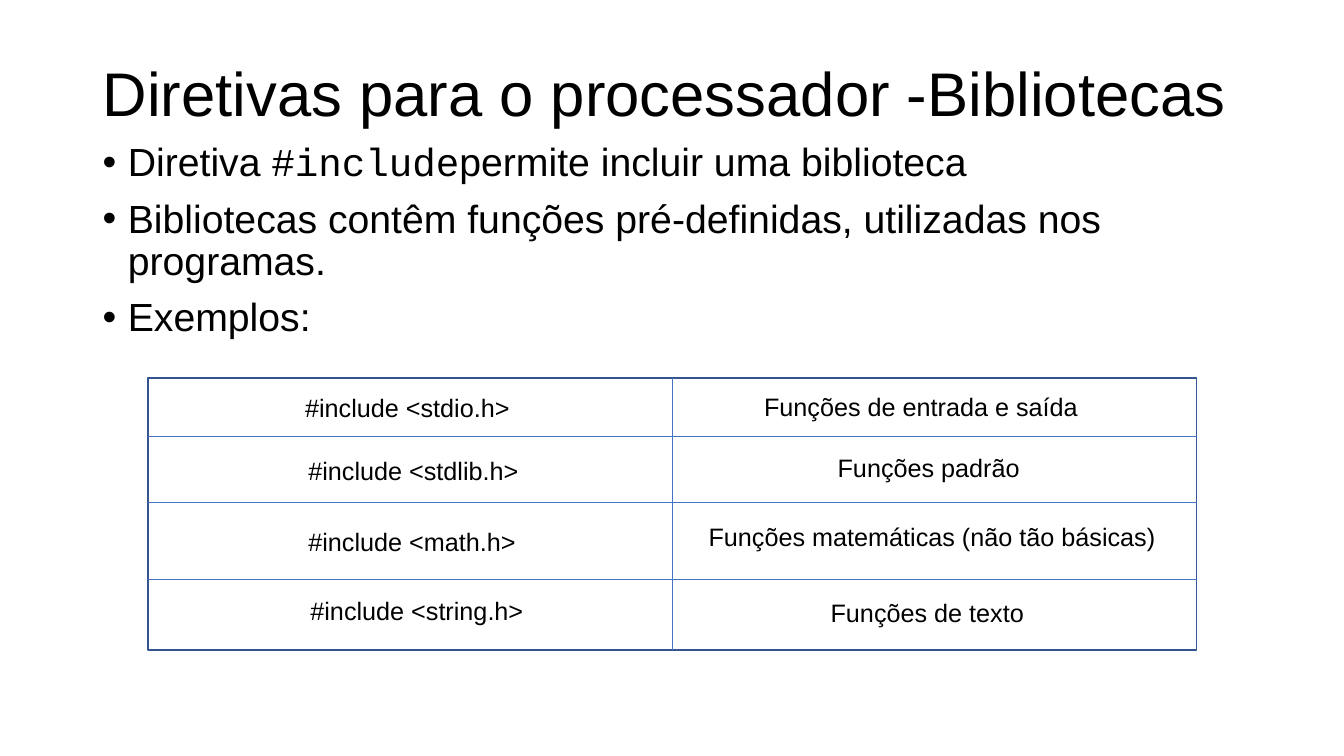
from lxml import etree
from pptx import Presentation
from pptx.dml.color import RGBColor
from pptx.enum.shapes import MSO_CONNECTOR, MSO_SHAPE
from pptx.enum.text import MSO_ANCHOR, PP_ALIGN
from pptx.oxml.ns import qn
from pptx.util import Inches, Pt

LEFT, CENTER = PP_ALIGN.LEFT, PP_ALIGN.CENTER
TOP, MIDDLE = MSO_ANCHOR.TOP, MSO_ANCHOR.MIDDLE
RECTANGLE, STRAIGHT = MSO_SHAPE.RECTANGLE, MSO_CONNECTOR.STRAIGHT

COLORS = {"text": "000000", "frame": "325491", "grid": "4472C4"}
SANS, MONO = "Arial", "Courier New"

TITLE = "Diretivas para o processador -Bibliotecas"
BULLETS = [
    [("Diretiva ", SANS), ("#include", MONO), ("permite incluir uma biblioteca", SANS)],
    [("Bibliotecas contêm funções pré-definidas, utilizadas nos programas.", SANS)],
    [("Exemplos:", SANS)],
]
# Each entry: text, left, top, width, alignment
LIBRARIES = [
    (("#include <stdio.h>", 1.55, 3.84, 4.98, CENTER),
     ("Funções de entrada e saída", 6.67, 3.83, 4.93, CENTER)),
    (("#include <stdlib.h>", 2.96, 4.47, 4.98, LEFT),
     ("Funções padrão", 8.21, 4.44, 4.76, LEFT)),
    (("#include <math.h>", 2.96, 5.17, 2.78, LEFT),
     ("Funções matemáticas (não tão básicas)", 6.93, 5.12, 4.87, LEFT)),
    (("#include <string.h>", 2.98, 5.86, 4.72, LEFT),
     ("Funções de texto", 8.14, 5.88, 3.73, LEFT)),
]
LABEL_HEIGHT = 0.4
GRID_LEFT, GRID_TOP, GRID_WIDTH, GRID_HEIGHT = 1.47, 3.75, 10.4, 2.7
COLUMN_DIVIDER = GRID_LEFT + GRID_WIDTH / 2
ROW_DIVIDERS = [4.33, 4.98, 5.75]


def color(name):
    return RGBColor.from_string(COLORS[name])


def add_text_frame(slide, left, top, width, height, anchor=TOP):
    box = slide.shapes.add_textbox(Inches(left), Inches(top), Inches(width), Inches(height))
    frame = box.text_frame
    frame.word_wrap = True
    frame.vertical_anchor = anchor
    return frame


def set_font(paragraph, size):
    paragraph.font.size = Pt(size)
    paragraph.font.name = SANS
    paragraph.font.color.rgb = color("text")


def add_bullet(paragraph):
    properties = paragraph._p.get_or_add_pPr()
    properties.set("marL", str(Inches(0.25)))
    properties.set("indent", str(-Inches(0.25)))
    etree.SubElement(properties, qn("a:buFont")).set("typeface", SANS)
    etree.SubElement(properties, qn("a:buChar")).set("char", "•")


def add_title(slide):
    title = add_text_frame(slide, 0.92, 0.4, 11.5, 1.12, MIDDLE).paragraphs[0]
    title.text = TITLE
    title.line_spacing = 0.9
    set_font(title, 44)


def add_bullets(slide):
    frame = add_text_frame(slide, 0.92, 1.37, 11.5, 2.2)
    for index, parts in enumerate(BULLETS):
        bullet = frame.add_paragraph() if index else frame.paragraphs[0]
        add_bullet(bullet)
        bullet.line_spacing = 0.9
        bullet.space_before = Pt(10 if index else 0)
        set_font(bullet, 28)
        for text, font_name in parts:
            run = bullet.add_run()
            run.text = text
            if font_name != SANS:
                run.font.name = font_name


def add_divider(slide, x1, y1, x2, y2):
    divider = slide.shapes.add_connector(
        STRAIGHT, Inches(x1), Inches(y1), Inches(x2), Inches(y2))
    divider.line.color.rgb = color("grid")
    divider.line.width = Pt(0.5)
    etree.SubElement(divider._element.spPr, qn("a:effectLst"))


def add_library_grid(slide):
    frame = slide.shapes.add_shape(
        RECTANGLE, Inches(GRID_LEFT), Inches(GRID_TOP), Inches(GRID_WIDTH), Inches(GRID_HEIGHT))
    frame.shadow.inherit = False
    frame.fill.background()
    frame.line.color.rgb = color("frame")
    frame.line.width = Pt(1)

    add_divider(slide, COLUMN_DIVIDER, GRID_TOP, COLUMN_DIVIDER, GRID_TOP + GRID_HEIGHT)
    for y in ROW_DIVIDERS:
        add_divider(slide, GRID_LEFT, y, GRID_LEFT + GRID_WIDTH, y)

    for row in LIBRARIES:
        for text, left, top, width, alignment in row:
            label = add_text_frame(slide, left, top, width, LABEL_HEIGHT).paragraphs[0]
            label.text = text
            label.alignment = alignment
            set_font(label, 18)


def main():
    presentation = Presentation()
    presentation.slide_width = Inches(13.33)
    presentation.slide_height = Inches(7.5)
    slide = presentation.slides.add_slide(presentation.slide_layouts[6])
    add_title(slide)
    add_bullets(slide)
    add_library_grid(slide)
    presentation.save("out.pptx")


if __name__ == "__main__":
    main()
